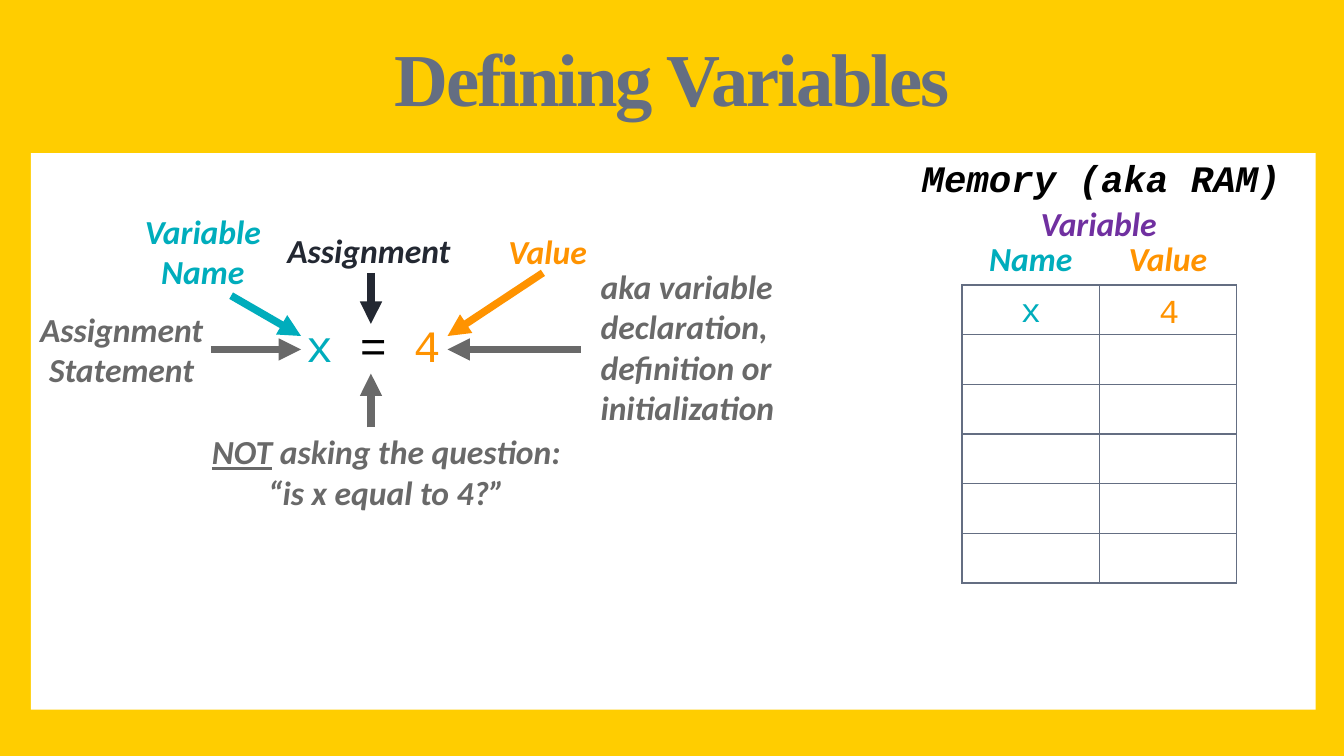
from lxml import etree
from pptx import Presentation, util as u
from pptx.dml.color import RGBColor
from pptx.enum import shapes, text
from pptx.oxml.ns import qn

TEAL, ORANGE, GRAY, SLATE, DARK = "00ADBC", "FF9300", "696969", "646E82", "232832"
MID, LEFT = text.PP_ALIGN.CENTER, text.PP_ALIGN.LEFT
BOLD = dict(name="Calibri", size=u.Pt(18), bold=True, italic=True)
CODE = dict(name="Courier New", size=u.Pt(18))
rgb = RGBColor.from_string

deck = Presentation()
deck.slide_width = u.Inches(10)
deck.slide_height = deck.slide_width * 9 // 16
page = deck.slides.add_slide(deck.slide_layouts[6])
page.background.fill.solid()
page.background.fill.fore_color.rgb = rgb("FFCD00")


def label(home, at, lines, font, align=MID, **form):
    """Add a text box; each line is a list of (words, colour, extra font values)."""
    box = home.add_textbox(*[u.Inches(n) for n in at])
    frame = box.text_frame
    frame.word_wrap = True
    for i, runs in enumerate(lines):
        para = frame.paragraphs[0] if i == 0 else frame.add_paragraph()
        para.alignment = align
        for key, val in form.items():
            setattr(para, key, val)
        for words, color, *more in runs:
            run = para.add_run()
            run.text = words
            for key, val in {**font, **(more[0] if more else {})}.items():
                setattr(run.font, key, val)
            run.font.color.rgb = rgb(color)
    return box


def arrow(start, end, color):
    line = page.shapes.add_connector(
        shapes.MSO_CONNECTOR.STRAIGHT, *[u.Inches(n) for n in start + end])
    line.line.width = u.Pt(4)
    line.line.color.rgb = rgb(color)
    etree.SubElement(line.line._get_or_add_ln(), qn("a:tailEnd"), type="triangle")
    etree.SubElement(line._element.spPr, qn("a:effectLst"))


# White panel and title
panel = page.shapes.add_shape(
    shapes.MSO_SHAPE.RECTANGLE, *[u.Inches(n) for n in (0.23, 1.14, 9.56, 4.14)])
panel.shadow.inherit = False
panel.fill.solid()
panel.fill.fore_color.rgb = rgb("FFFFFF")
panel.line.fill.background()

title = label(page.shapes, (0.22, 0.24, 9.56, 0.74), [[("Defining Variables", SLATE)]],
              dict(name="Times New Roman", size=u.Pt(40), bold=True), line_spacing=0.9)
title.text_frame.vertical_anchor = text.MSO_ANCHOR.MIDDLE
title.text_frame.paragraphs[0].runs[0].font._element.set("spc", "-110")

# Statement and its labels
label(page.shapes, (2.18, 2.39, 1.38, 1),
      [[("x ", TEAL), ("= ", "000000"), ("4", ORANGE)]],
      {**CODE, "size": u.Pt(24)}, LEFT, line_spacing=0.8, space_before=u.Pt(4.8))
notes = [
    ((2.04, 1.66, 1.53, 0.4), [[("Assignment", DARK)]], LEFT, True),
    ((0.91, 1.52, 1.2, 0.71), [[("Variable", TEAL)], [("Name", TEAL)]], MID, True),
    ((3.68, 1.67, 0.79, 0.4), [[("Value", ORANGE)]], MID, False),
    ((4.37, 1.93, 2.41, 1.31),
     [[("aka variable declaration, definition or initialization", GRAY)]], LEFT, True),
    ((1.45, 3.16, 2.85, 0.71),
     [[("NOT", GRAY, dict(underline=True)),
       (" asking the question: “is x equal to 4?”", GRAY)]], MID, True),
    ((0.15, 2.25, 1.51, 0.71), [[("Assignment Statement", GRAY)]], MID, True),
]
for at, lines, align, wrap in notes:
    label(page.shapes, at, lines, BOLD, align).text_frame.word_wrap = wrap

# Arrows toward the statement
for start, end, color in [
    ((2.76, 2.03), (2.76, 2.41), DARK),
    ((1.72, 2.2), (2.24, 2.5), TEAL),
    ((4.04, 2.03), (3.33, 2.5), ORANGE),
    ((4.32, 2.6), (3.33, 2.6), GRAY),
    ((2.76, 3.18), (2.76, 2.78), GRAY),
    ((1.57, 2.6), (2.24, 2.6), GRAY),
]:
    arrow(start, end, color)

# Memory table
x, y, col, row, rows = 7.16, 2.12, 1.02, 0.37, 6
grid = page.shapes.add_table(rows, 2, *[u.Inches(n) for n in (x, y, 2 * col, rows * row)]).table
grid.first_row = grid.horz_banding = False
for part in grid.columns:
    part.width = u.Inches(col)
for part in grid.rows:
    part.height = u.Inches(row)
for cell in grid.iter_cells():
    cell.margin_top = cell.margin_bottom = u.Inches(0.02)
    props = cell._tc.get_or_add_tcPr()
    for side in ("lnL", "lnR", "lnT", "lnB"):
        edge = etree.SubElement(props, qn("a:" + side), w=str(u.Pt(1)))
        fill = etree.SubElement(edge, qn("a:solidFill"))
        etree.SubElement(fill, qn("a:srgbClr"), val=SLATE)
    cell.fill.background()

# Memory headings, grouped, and the stored pair
heads = page.shapes.add_group_shape().shapes
label(heads, (6.76, 1.17, 3.02, 0.41), [[("Memory (aka RAM)", "000000")]],
      {**BOLD, "name": "Courier New", "size": u.Pt(20)}, LEFT,
      line_spacing=0.8, space_before=u.Pt(4))
label(heads, (x, 1.46, 2.03, 0.4), [[("Variable", "7030A0")]], BOLD)
for i, (head, item, color) in enumerate([("Name", "x", TEAL), ("Value", "4", ORANGE)]):
    label(heads, (x + i * col, 1.72, col, 0.4), [[(head, color)]], BOLD)
    label(page.shapes, (x + i * (col + 0.01), 2.1 + i * 0.01, col, 0.4),
          [[(item, color)]], CODE)

deck.save("out.pptx")
